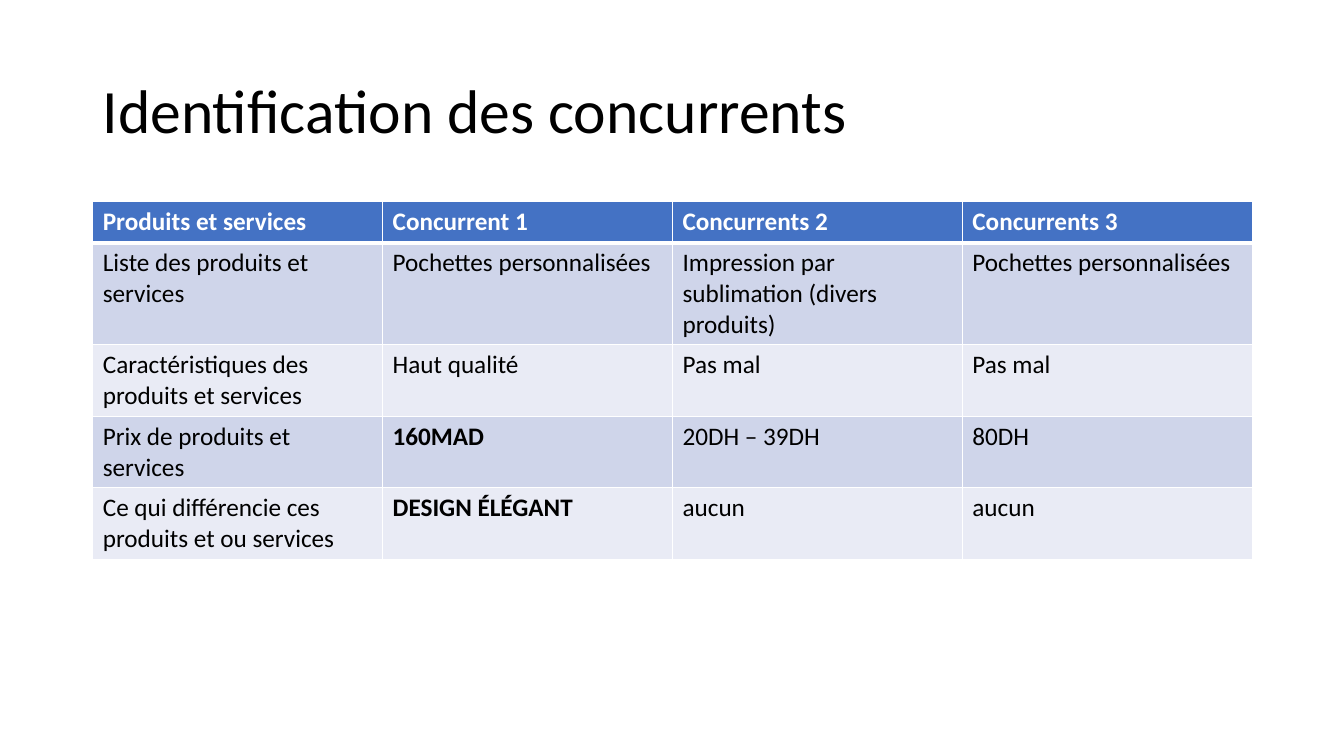
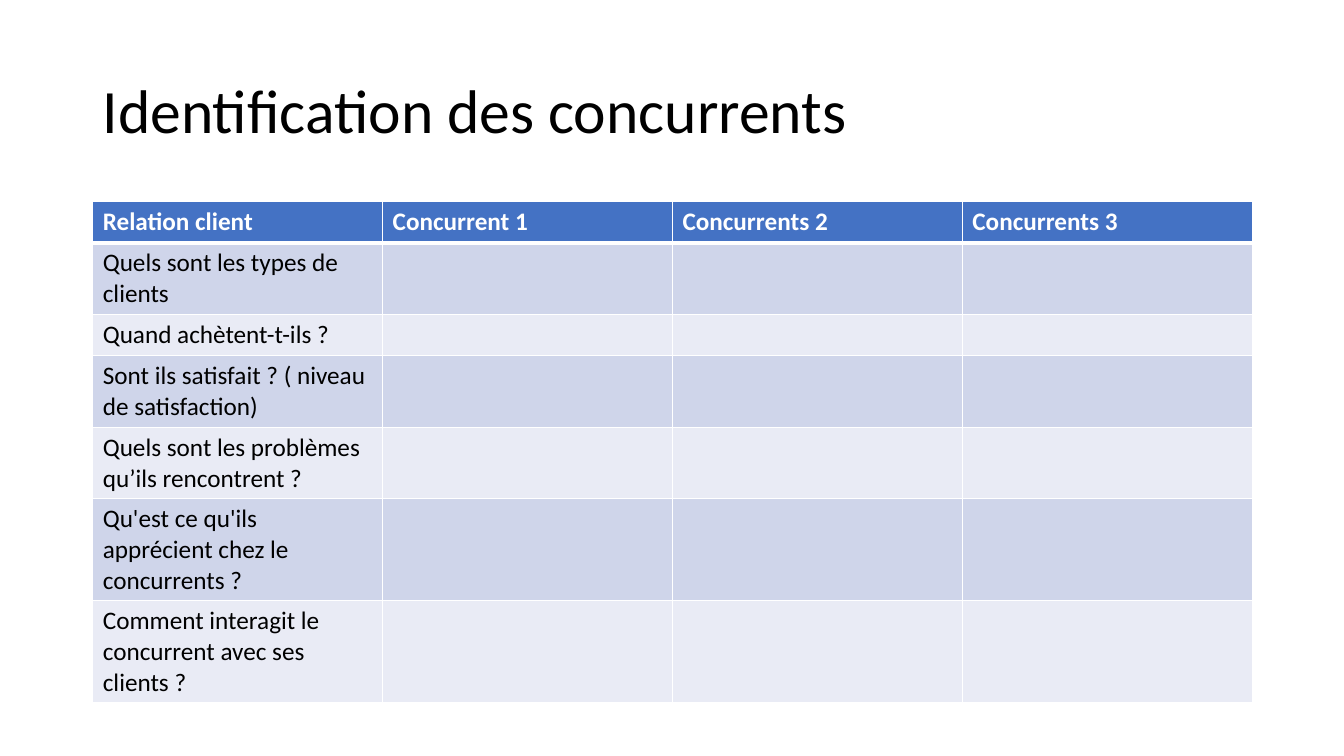
from dataclasses import dataclass

from lxml.etree import SubElement
from pptx import Presentation
from pptx.dml.color import RGBColor
from pptx.enum.text import MSO_ANCHOR
from pptx.oxml.ns import qn
from pptx.slide import Slide
from pptx.table import _Cell
from pptx.text.text import TextFrame
from pptx.util import Inches, Pt

# Shared style
FONT = "Calibri"
BLACK, WHITE = "000000", "FFFFFF"
HEADER_FILL = "4472C4"
BAND_FILLS = ("CFD5EA", "E9EBF5")
TITLE = "Identification des concurrents"
COMPETITORS = ("Concurrent 1", "Concurrents 2", "Concurrents 3")
LEFT, WIDTH = 0.92, 11.5
ONE_LINE_ROW, EXTRA_LINE = 0.41, 0.3


@dataclass(frozen=True)
class Criterion:
    label: str
    answers: tuple[str, ...] = ("", "", "")
    lines: int = 2
    bold_first: bool = False


@dataclass(frozen=True)
class Comparison:
    topic: str
    criteria: tuple[Criterion, ...]


COMPARISONS = (
    Comparison("Produits et services", (
        Criterion("Liste des produits et services",
                  ("Pochettes personnalisées",
                   "Impression par sublimation (divers produits)",
                   "Pochettes personnalisées"), lines=3),
        Criterion("Caractéristiques des produits et services",
                  ("Haut qualité", "Pas mal", "Pas mal")),
        Criterion("Prix de produits et services",
                  ("160MAD", "20DH – 39DH", "80DH"), bold_first=True),
        Criterion("Ce qui différencie ces produits et ou services",
                  ("DESIGN ÉLÉGANT", "aucun", "aucun"), bold_first=True),
    )),
    Comparison("Relation client", (
        Criterion("Quels sont les types de clients"),
        Criterion("Quand achètent-t-ils ?", lines=1),
        Criterion("Sont ils satisfait ? ( niveau de satisfaction)"),
        Criterion("Quels sont les problèmes qu’ils rencontrent ?"),
        Criterion("Qu'est ce qu'ils apprécient chez le concurrents ?", lines=3),
        Criterion("Comment interagit le concurrent avec ses clients ?", lines=3),
    )),
)


def rgb(value: str) -> RGBColor:
    return RGBColor.from_string(value)


def write_text(frame: TextFrame, text: str, *, size: float = 18,
               color: str = BLACK, bold: bool = False,
               spacing: float = 1.0) -> None:
    frame.word_wrap = True
    paragraph = frame.paragraphs[0]
    paragraph.line_spacing = spacing
    run = paragraph.add_run()
    run.text = text
    run.font.name = FONT
    run.font.size = Pt(size)
    run.font.bold = bold
    run.font.color.rgb = rgb(color)


def add_title(slide: Slide) -> None:
    title = slide.shapes.add_textbox(
        Inches(LEFT), Inches(0.4), Inches(WIDTH), Inches(1.45))
    title.text_frame.vertical_anchor = MSO_ANCHOR.MIDDLE
    write_text(title.text_frame, TITLE, size=44, spacing=0.9)


def style_cell(cell: _Cell, fill: str, top: float = 1, bottom: float = 1) -> None:
    # Borders must come before the fill in the cell properties
    properties = cell._tc.get_or_add_tcPr()
    for side, width in (("L", 1), ("R", 1), ("T", top), ("B", bottom)):
        border = SubElement(properties, qn(f"a:ln{side}"), w=str(Pt(width)))
        solid = SubElement(border, qn("a:solidFill"))
        SubElement(solid, qn("a:srgbClr"), val=WHITE)
    cell.fill.solid()
    cell.fill.fore_color.rgb = rgb(fill)


def add_comparison(slide: Slide, comparison: Comparison) -> None:
    criteria = comparison.criteria
    heights = [ONE_LINE_ROW] + [
        ONE_LINE_ROW + EXTRA_LINE * (criterion.lines - 1) for criterion in criteria]
    columns = 1 + len(COMPETITORS)
    table = slide.shapes.add_table(
        len(heights), columns, Inches(LEFT), Inches(2),
        Inches(WIDTH), Inches(sum(heights))).table
    for column in table.columns:
        column.width = Inches(WIDTH / columns)
    for row, height in zip(table.rows, heights):
        row.height = Inches(height)

    # Header row
    for index, heading in enumerate((comparison.topic, *COMPETITORS)):
        cell = table.cell(0, index)
        style_cell(cell, HEADER_FILL, bottom=3)
        write_text(cell.text_frame, heading, color=WHITE, bold=True)

    # Banded criteria rows
    for number, criterion in enumerate(criteria, start=1):
        for index, text in enumerate((criterion.label, *criterion.answers)):
            cell = table.cell(number, index)
            style_cell(cell, BAND_FILLS[(number - 1) % 2],
                       top=3 if number == 1 else 1)
            if text:
                write_text(cell.text_frame, text,
                           bold=criterion.bold_first and index == 1)


def main() -> None:
    deck = Presentation()
    deck.slide_width, deck.slide_height = Inches(13.33), Inches(7.5)
    for comparison in COMPARISONS:
        slide = deck.slides.add_slide(deck.slide_layouts[6])
        add_title(slide)
        add_comparison(slide, comparison)
    deck.save("out.pptx")


if __name__ == "__main__":
    main()
